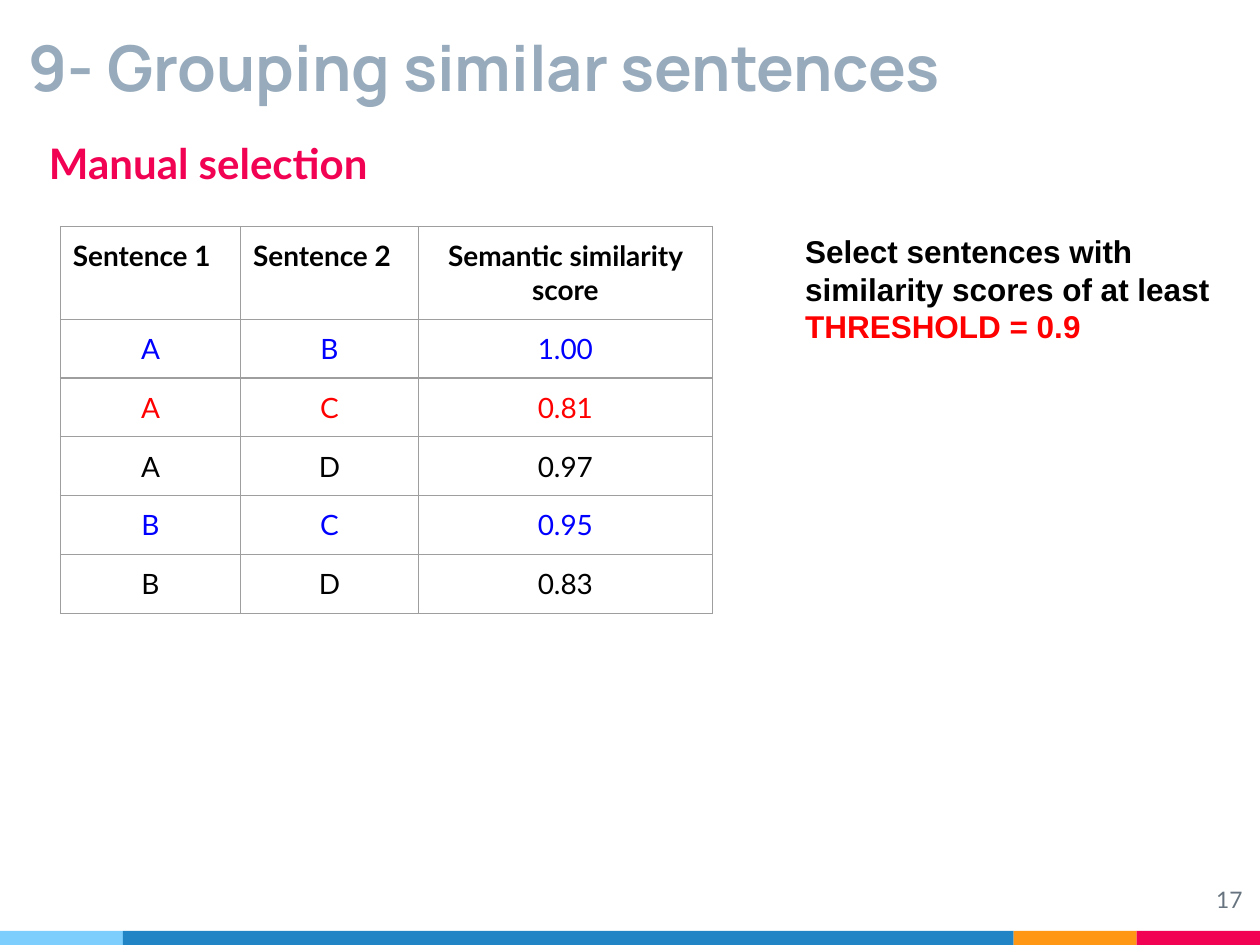
from lxml import etree
from pptx import Presentation
from pptx import util as u
from pptx.dml import color
from pptx.enum import shapes, text
from pptx.oxml import ns

BLACK, BLUE, RED, PINK = "000000", "0000FF", "FF0000", "F20253"
LEFT, CENTER, RIGHT = text.PP_ALIGN.LEFT, text.PP_ALIGN.CENTER, text.PP_ALIGN.RIGHT
MARGINS = {f"margin_{side}": u.Pt(7.2) for side in ("left", "right", "top", "bottom")}

FOOTER_BANDS = [(0, 70.3, "7ECEFD"), (70.3, 509, "2185C5"),
                (579.3, 70.3, "FF9715"), (649.6, 70.4, PINK)]
HEADERS = [("Sentence 1", LEFT), ("Sentence 2", LEFT), ("Semantic similarity score", CENTER)]
SCORES = [("A", "B", "1.00", BLUE), ("A", "C", "0.81", RED), ("A", "D", "0.97", BLACK),
          ("B", "C", "0.95", BLUE), ("B", "D", "0.83", BLACK)]
COLUMN_WIDTHS = [103, 101.6, 168]
HEADER_HEIGHT, ROW_HEIGHT = 52.8, 33.4


def rgb(value):
    return color.RGBColor.from_string(value)


def set_attributes(target, values):
    for name, value in values.items():
        setattr(target, name, value)


def add_run(paragraph, words, font, size, hex_color, bold=False):
    run = paragraph.add_run()
    run.text = words
    set_attributes(run.font, {"name": font, "size": u.Pt(size), "bold": bold})
    run.font.color.rgb = rgb(hex_color)


def add_text(slide, box, runs, align=LEFT, anchor=text.MSO_ANCHOR.TOP):
    frame = slide.shapes.add_textbox(*map(u.Pt, box)).text_frame
    set_attributes(frame, {"word_wrap": True, "vertical_anchor": anchor, **MARGINS})
    paragraph = frame.paragraphs[0]
    paragraph.alignment = align
    for run in runs:
        add_run(paragraph, *run)


def add_band(slide, left, width, hex_color):
    shape = slide.shapes.add_shape(
        shapes.MSO_SHAPE.RECTANGLE, *map(u.Pt, (left, 532, width, 8)))
    shape.shadow.inherit = False
    shape.fill.solid()
    shape.fill.fore_color.rgb = rgb(hex_color)
    shape.line.fill.background()


def add_borders(cell, hex_color, width):
    properties = cell._tc.get_or_add_tcPr()
    for side in ("a:lnL", "a:lnR", "a:lnT", "a:lnB"):
        line = etree.SubElement(properties, ns.qn(side), w=str(u.Pt(width)))
        fill = etree.SubElement(line, ns.qn("a:solidFill"))
        etree.SubElement(fill, ns.qn("a:srgbClr"), val=hex_color)


def fill_cell(cell, words, hex_color, align, bold):
    add_borders(cell, "9E9E9E", 0.75)
    cell.fill.background()
    set_attributes(cell, MARGINS)
    paragraph = cell.text_frame.paragraphs[0]
    paragraph.alignment = align
    add_run(paragraph, words, "Lato", 16, hex_color, bold)


def add_score_table(slide, left, top):
    heights = [HEADER_HEIGHT] + [ROW_HEIGHT] * len(SCORES)
    size = (sum(COLUMN_WIDTHS), sum(heights))
    table = slide.shapes.add_table(
        len(heights), len(COLUMN_WIDTHS), *map(u.Pt, (left, top, *size))).table
    set_attributes(table, {"first_row": False, "horz_banding": False})
    for column, width in zip(table.columns, COLUMN_WIDTHS):
        column.width = u.Pt(width)
    for row, height in zip(table.rows, heights):
        row.height = u.Pt(height)
    for column, (words, align) in enumerate(HEADERS):
        fill_cell(table.cell(0, column), words, BLACK, align, True)
    for row, (*values, hex_color) in enumerate(SCORES, start=1):
        for column, value in enumerate(values):
            fill_cell(table.cell(row, column), value, hex_color, CENTER, False)


def main():
    presentation = Presentation()
    set_attributes(presentation, {"slide_width": u.Pt(720), "slide_height": u.Pt(540)})
    slide = presentation.slides.add_slide(presentation.slide_layouts[6])
    for band in FOOTER_BANDS:
        add_band(slide, *band)
    add_text(slide, (9.4, 15.8, 664.6, 51.1),
             [("9- Grouping similar sentences", "Manrope", 36, "97ABBC", True)],
             anchor=text.MSO_ANCHOR.BOTTOM)
    add_text(slide, (673.9, 499, 43.2, 41), [("17", "Lato", 13, "677480")], RIGHT)
    add_text(slide, (20.9, 71.3, 641.5, 285),
             [("Manual selection", "Lato", 24, PINK, True)])
    add_score_table(slide, 34.5, 129.6)
    add_text(slide, (453, 125.3, 247, 223),
             [("Select sentences with similarity scores of at least ", "Arial", 18, BLACK, True),
              ("THRESHOLD = 0.9", "Arial", 18, RED, True)])
    presentation.save("out.pptx")


if __name__ == "__main__":
    main()
